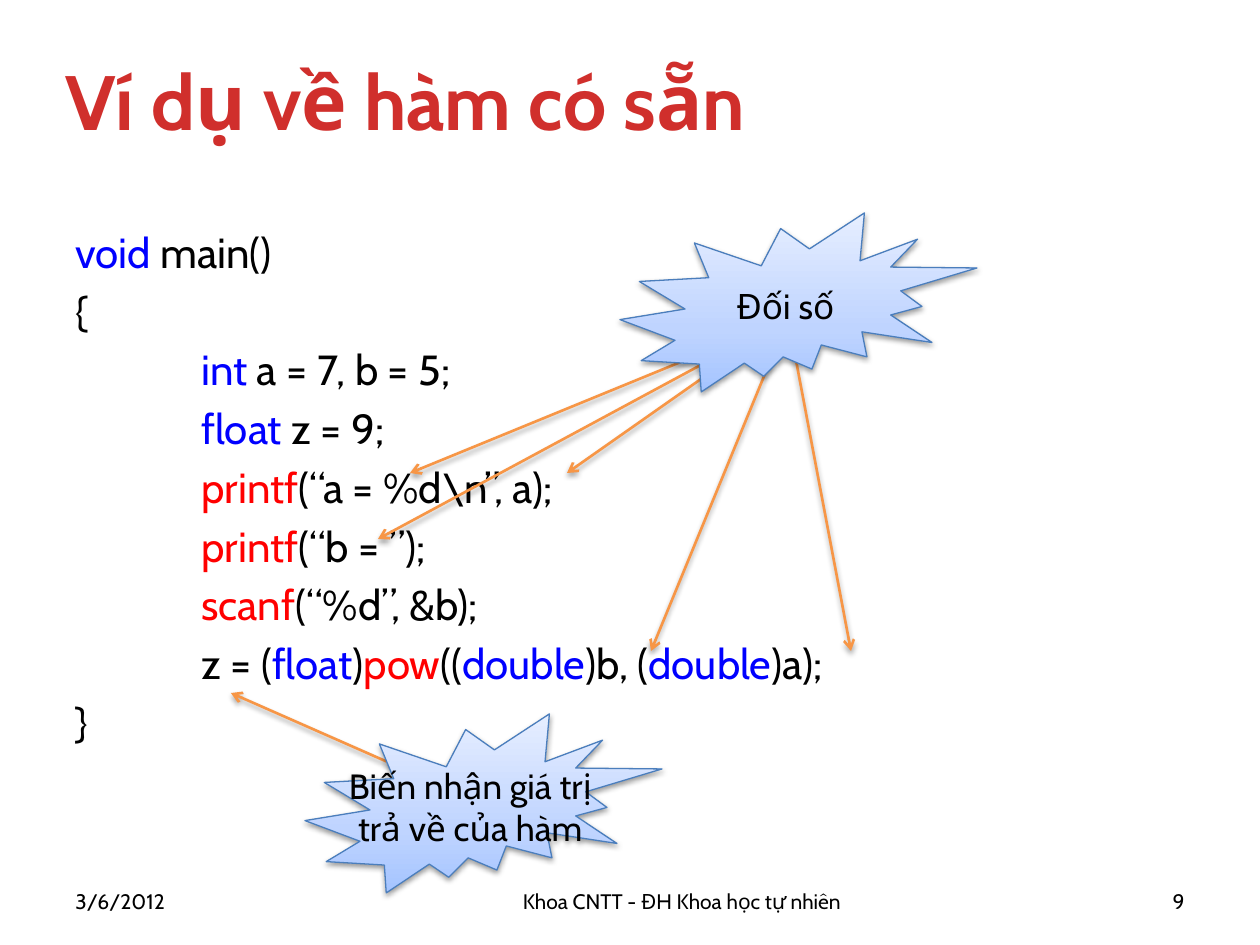
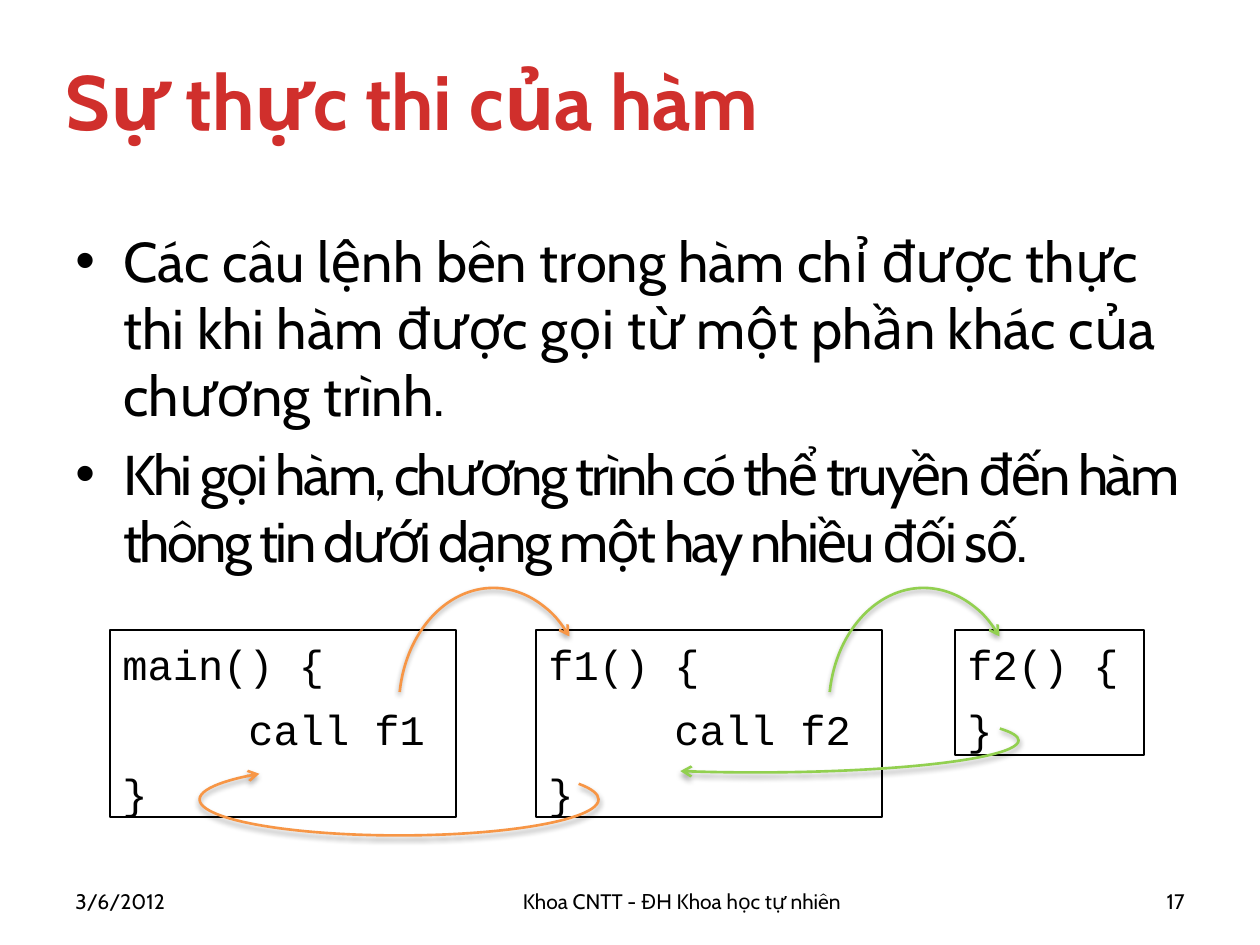
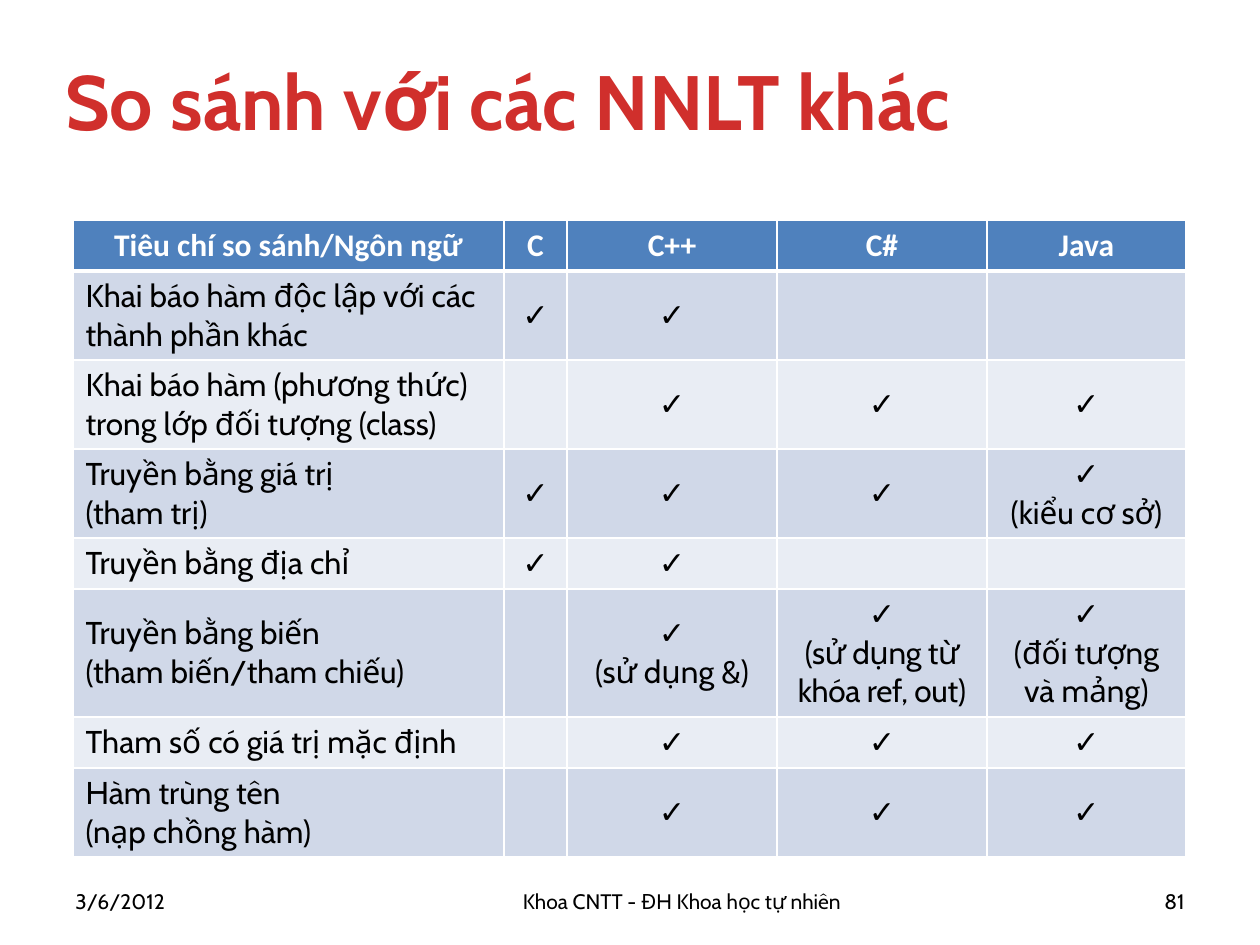
from copy import deepcopy
from dataclasses import dataclass

from lxml.etree import SubElement
from pptx import Presentation
from pptx.dml.color import RGBColor
from pptx.enum.shapes import MSO_CONNECTOR, MSO_SHAPE
from pptx.enum.text import MSO_ANCHOR, PP_ALIGN
from pptx.oxml.ns import qn
from pptx.slide import Slide
from pptx.util import Emu, Pt

PX_PER_INCH = 126
BLACK = RGBColor(0x00, 0x00, 0x00)
WHITE = RGBColor(0xFF, 0xFF, 0xFF)
TITLE_RED = RGBColor(0xD0, 0x2F, 0x2C)
KEYWORD_BLUE = RGBColor(0x00, 0x00, 0xFF)
FUNCTION_RED = RGBColor(0xFF, 0x00, 0x00)
ORANGE = RGBColor(0xF7, 0x96, 0x46)
GREEN = RGBColor(0x92, 0xD0, 0x50)
SEAL_LINE = RGBColor(0x4B, 0x7E, 0xBC)
SEAL_STOPS = (
    (0, RGBColor(0xA4, 0xC4, 0xFF)),
    (0.35, RGBColor(0xBF, 0xD4, 0xFF)),
    (1, RGBColor(0xE6, 0xEE, 0xFF)),
)
HEADER_BLUE = RGBColor(0x4F, 0x81, 0xBD)
ROW_BANDS = (RGBColor(0xE9, 0xED, 0xF4), RGBColor(0xD0, 0xD8, 0xE8))


def px(length: int) -> Emu:
    return Emu(round(length * 914400 / PX_PER_INCH))


@dataclass(frozen=True)
class Box:
    left: int
    top: int
    width: int
    height: int

    def emu(self) -> tuple:
        return px(self.left), px(self.top), px(self.width), px(self.height)


@dataclass(frozen=True)
class Span:
    text: str
    color: RGBColor = BLACK
    spacing: int = 0


@dataclass(frozen=True)
class Line:
    spans: tuple
    margin: int = 0
    bullet: bool = False


@dataclass(frozen=True)
class Style:
    size: int
    font: str = "Cabin"
    bold: bool = False
    align: PP_ALIGN = PP_ALIGN.LEFT
    before: float = 0


@dataclass(frozen=True)
class Seal:
    box: Box
    text: str
    wrap: bool


@dataclass(frozen=True)
class CodeBox:
    box: Box
    lines: tuple


@dataclass(frozen=True)
class CallArc:
    box: Box
    start: float
    end: float
    color: RGBColor
    rotation: int = 0


TITLE_BOX = Box(53, 21, 1187, 158)
BODY_BOX = Box(63, 220, 1134, 624)
DATE_BOX = Box(63, 876, 136, 50)
FACULTY_BOX = Box(262, 876, 840, 50)
NUMBER_BOX = Box(1124, 876, 73, 50)
TAB = 126
BULLET_INDENT = 48
SEAL_STYLE = Style(20, align=PP_ALIGN.CENTER)
CODE_STYLE = Style(24, "Courier New", before=8)


def plain(text: str, color: RGBColor = BLACK, spacing: int = 0) -> Line:
    return Line((Span(text, color, spacing),))


def code(*parts: Span | str) -> Line:
    spans = tuple(Span(part) if isinstance(part, str) else part for part in parts)
    return Line(spans, TAB)


def keyword(text: str) -> Span:
    return Span(text, KEYWORD_BLUE)


def function(text: str) -> Span:
    return Span(text, FUNCTION_RED)


def add_span(paragraph, span: Span, style: Style) -> None:
    for index, piece in enumerate(span.text.split("\n")):
        if index:
            paragraph.add_line_break()
        run = paragraph.add_run()
        run.text = piece
        run.font.name = style.font
        run.font.size = Pt(style.size)
        run.font.bold = style.bold
        run.font.color.rgb = span.color
        if span.spacing:
            run.font._element.set("spc", str(span.spacing))


def write(frame, lines: tuple, style: Style) -> None:
    for index, line in enumerate(lines):
        paragraph = frame.add_paragraph() if index else frame.paragraphs[0]
        properties = paragraph._p.get_or_add_pPr()
        if line.bullet:
            SubElement(properties, qn("a:buFont"), typeface="Arial")
            SubElement(properties, qn("a:buChar"), char="•")
            properties.set("indent", str(-px(line.margin)))
        if line.margin:
            properties.set("marL", str(px(line.margin)))
        paragraph.alignment = style.align
        if index and style.before:
            paragraph.space_before = Pt(style.before)
        for span in line.spans:
            add_span(paragraph, span, style)


def add_text(slide: Slide, box: Box, lines: tuple, style: Style,
             anchor: MSO_ANCHOR = MSO_ANCHOR.MIDDLE) -> None:
    frame = slide.shapes.add_textbox(*box.emu()).text_frame
    frame.word_wrap = True
    frame.vertical_anchor = anchor
    write(frame, lines, style)


def add_shadow(properties, alpha: int, distance: float) -> None:
    effects = properties.find(qn("a:effectLst"))
    if effects is None:
        effects = SubElement(properties, qn("a:effectLst"))
    shadow = SubElement(effects, qn("a:outerShdw"), blurRad=str(Pt(3.1)),
                        dist=str(Pt(distance)), dir="5400000", rotWithShape="0")
    black = SubElement(shadow, qn("a:srgbClr"), val="000000")
    SubElement(black, qn("a:alpha"), val=str(alpha * 1000))


def style_arrow(line, color: RGBColor) -> None:
    line.color.rgb = color
    line.width = Pt(1.5)
    SubElement(line._get_or_add_ln(), qn("a:tailEnd"), type="arrow")


def add_arrow(slide: Slide, start: tuple, end: tuple) -> None:
    arrow = slide.shapes.add_connector(
        MSO_CONNECTOR.STRAIGHT, *(px(value) for value in start + end))
    style_arrow(arrow.line, ORANGE)
    add_shadow(arrow._element.spPr, 35, 1.8)


def add_seal(slide: Slide, seal: Seal) -> None:
    burst = slide.shapes.add_shape(MSO_SHAPE.EXPLOSION2, *seal.box.emu())
    burst.shadow.inherit = False
    burst.fill.gradient()
    burst.fill.gradient_angle = 90
    stop_list = burst._element.spPr.find(qn("a:gradFill")).find(qn("a:gsLst"))
    stop_list.append(deepcopy(stop_list[0]))
    for stop, (position, color) in zip(burst.fill.gradient_stops, SEAL_STOPS):
        stop.position = position
        stop.color.rgb = color
    burst.line.color.rgb = SEAL_LINE
    burst.line.width = Pt(0.75)
    add_shadow(burst._element.spPr, 38, 1.6)
    frame = burst.text_frame
    frame.word_wrap = seal.wrap
    frame.vertical_anchor = MSO_ANCHOR.MIDDLE
    write(frame, (plain(seal.text),), SEAL_STYLE)


def add_code_box(slide: Slide, code_box: CodeBox) -> None:
    outline = slide.shapes.add_shape(MSO_SHAPE.RECTANGLE, *code_box.box.emu())
    outline.shadow.inherit = False
    outline.fill.background()
    outline.line.color.rgb = BLACK
    outline.line.width = Pt(0.75)
    frame = outline.text_frame
    frame.word_wrap = True
    frame.vertical_anchor = MSO_ANCHOR.TOP
    frame.margin_top = px(9)
    frame.margin_bottom = 0
    write(frame, code_box.lines, CODE_STYLE)


def add_call_arc(slide: Slide, call: CallArc) -> None:
    arc = slide.shapes.add_shape(MSO_SHAPE.ARC, *call.box.emu())
    arc.adjustments[0] = call.start
    arc.adjustments[1] = call.end
    arc.rotation = call.rotation
    arc.shadow.inherit = False
    arc.fill.background()
    style_arrow(arc.line, call.color)
    add_shadow(arc._element.spPr, 35, 1.8)


def style_cell(cell, fill: RGBColor, bottom: int) -> None:
    properties = cell._tc.get_or_add_tcPr()
    for side, width in (("L", 1), ("R", 1), ("T", 1), ("B", bottom)):
        border = SubElement(properties, qn(f"a:ln{side}"), w=str(Pt(width)))
        solid = SubElement(border, qn("a:solidFill"))
        SubElement(solid, qn("a:srgbClr"), val=str(WHITE))
    cell.fill.solid()
    cell.fill.fore_color.rgb = fill
    cell.vertical_anchor = MSO_ANCHOR.MIDDLE


def start_slide(deck, title: str, number: int) -> Slide:
    slide = deck.slides.add_slide(deck.slide_layouts[6])
    add_text(slide, TITLE_BOX, (plain(title, TITLE_RED),), Style(44, bold=True))
    for box, text, align in (
        (DATE_BOX, "3/6/2012", PP_ALIGN.LEFT),
        (FACULTY_BOX, "Khoa CNTT - ĐH Khoa học tự nhiên", PP_ALIGN.CENTER),
        (NUMBER_BOX, str(number), PP_ALIGN.RIGHT),
    ):
        add_text(slide, box, (plain(text),), Style(12, align=align))
    return slide


def build_library_functions(deck) -> None:
    slide = start_slide(deck, "Ví dụ về hàm có sẵn", 9)
    program = (
        Line((keyword("void"), Span(" main()"))),
        plain("{"),
        code(keyword("int"), " a = 7, b = 5;"),
        code(keyword("float"), " z = 9;"),
        code(function("printf"), "(“a = %d\\n”, a);"),
        code(function("printf"), "(“b = ”);"),
        code(function("scanf"), "(“%d”, &b);"),
        code("z = (", keyword("float"), ")", function("pow"), "((",
             keyword("double"), ")b, (", keyword("double"), ")a);"),
        plain("}"),
    )
    add_text(slide, BODY_BOX, program, Style(24, before=4.8), MSO_ANCHOR.TOP)
    for argument in ((410, 473), (567, 473), (378, 539), (651, 651), (851, 651)):
        add_arrow(slide, (788, 318), argument)
    add_seal(slide, Seal(Box(620, 213, 357, 179), "Đối số", True))
    add_arrow(slide, (483, 804), (231, 693))
    add_seal(slide, Seal(Box(305, 714, 357, 179),
                         "Biến nhận giá trị\ntrả về của hàm", False))


def build_execution(deck) -> None:
    slide = start_slide(deck, "Sự thực thi của hàm", 17)
    points = (
        Span("Các câu lệnh bên trong hàm chỉ được thực thi khi hàm được gọi "
             "từ một phần khác của chương trình."),
        Span("Khi gọi hàm, chương trình có thể truyền đến hàm thông tin dưới "
             "dạng một hay nhiều đối số.", spacing=-150),
    )
    bullets = tuple(Line((point,), BULLET_INDENT, True) for point in points)
    add_text(slide, BODY_BOX, bullets, Style(32, before=6.4), MSO_ANCHOR.TOP)
    for code_box in (
        CodeBox(Box(110, 630, 346, 187),
                (plain("main() {"), code("call f1"), plain("}"))),
        CodeBox(Box(536, 630, 346, 187),
                (plain("f1() {"), code("call f2"), plain("}"))),
        CodeBox(Box(955, 630, 189, 125), (plain("f2() {"), plain("}"))),
    ):
        add_code_box(slide, code_box)
    for call in (
        CallArc(Box(399, 588, 189, 239), 113.6, 190.19, ORANGE),
        CallArc(Box(829, 588, 189, 239), 113.6, 190.19, GREEN),
        CallArc(Box(724, 478, 64, 525), 160.33, 40.78, GREEN, 90),
        CallArc(Box(363, 600, 72, 399), 159.01, 60.25, ORANGE, 90),
    ):
        add_call_arc(slide, call)


def build_comparison(deck) -> None:
    slide = start_slide(deck, "So sánh với các NNLT khác", 81)
    tick = plain("✓")
    yes = (tick,)
    no = ()
    headings = ("Tiêu chí so sánh/Ngôn ngữ", "C", "C++", "C#", "Java")
    criteria = (
        ((plain("Khai báo hàm độc lập với các thành phần khác"),), yes, yes, no, no),
        ((plain("Khai báo hàm (phương thức) trong lớp đối tượng (class)"),),
         no, yes, yes, yes),
        ((plain("Truyền bằng giá trị\n(tham trị)"),),
         yes, yes, yes, (tick, plain("(kiểu cơ sở)"))),
        ((plain("Truyền bằng địa chỉ"),), yes, yes, no, no),
        ((plain("Truyền bằng biến\n(tham biến/tham chiếu)"),), no,
         (tick, plain("(sử dụng &)")),
         (tick, plain("(sử dụng từ khóa ref, out)", spacing=-20)),
         (tick, plain("(đối tượng và mảng)"))),
        ((plain("Tham số có giá trị mặc định"),), no, yes, yes, yes),
        ((plain("Hàm trùng tên"), plain("(nạp chồng hàm)")), no, yes, yes, yes),
    )
    widths = (431, 63, 210, 210, 199)
    heights = (51, 89, 89, 89, 51, 128, 51, 89)
    area = Box(73, 220, sum(widths), sum(heights))
    table = slide.shapes.add_table(len(heights), len(widths), *area.emu()).table
    table.first_row = False
    table.horz_banding = False
    for column, width in zip(table.columns, widths):
        column.width = px(width)
    for row, height in zip(table.rows, heights):
        row.height = px(height)
    heading_style = Style(18, "Calibri", True, PP_ALIGN.CENTER)
    for index, heading in enumerate(headings):
        cell = table.cell(0, index)
        style_cell(cell, HEADER_BLUE, 3)
        write(cell.text_frame, (plain(heading, WHITE),), heading_style)
    for row_index, criterion in enumerate(criteria, 1):
        for index, lines in enumerate(criterion):
            cell = table.cell(row_index, index)
            style_cell(cell, ROW_BANDS[row_index % 2], 1)
            align = PP_ALIGN.CENTER if index else PP_ALIGN.LEFT
            write(cell.text_frame, lines, Style(18, align=align))


def main() -> None:
    deck = Presentation()
    deck.slide_width = px(1260)
    deck.slide_height = px(945)
    build_library_functions(deck)
    build_execution(deck)
    build_comparison(deck)
    deck.save("out.pptx")


if __name__ == "__main__":
    main()
